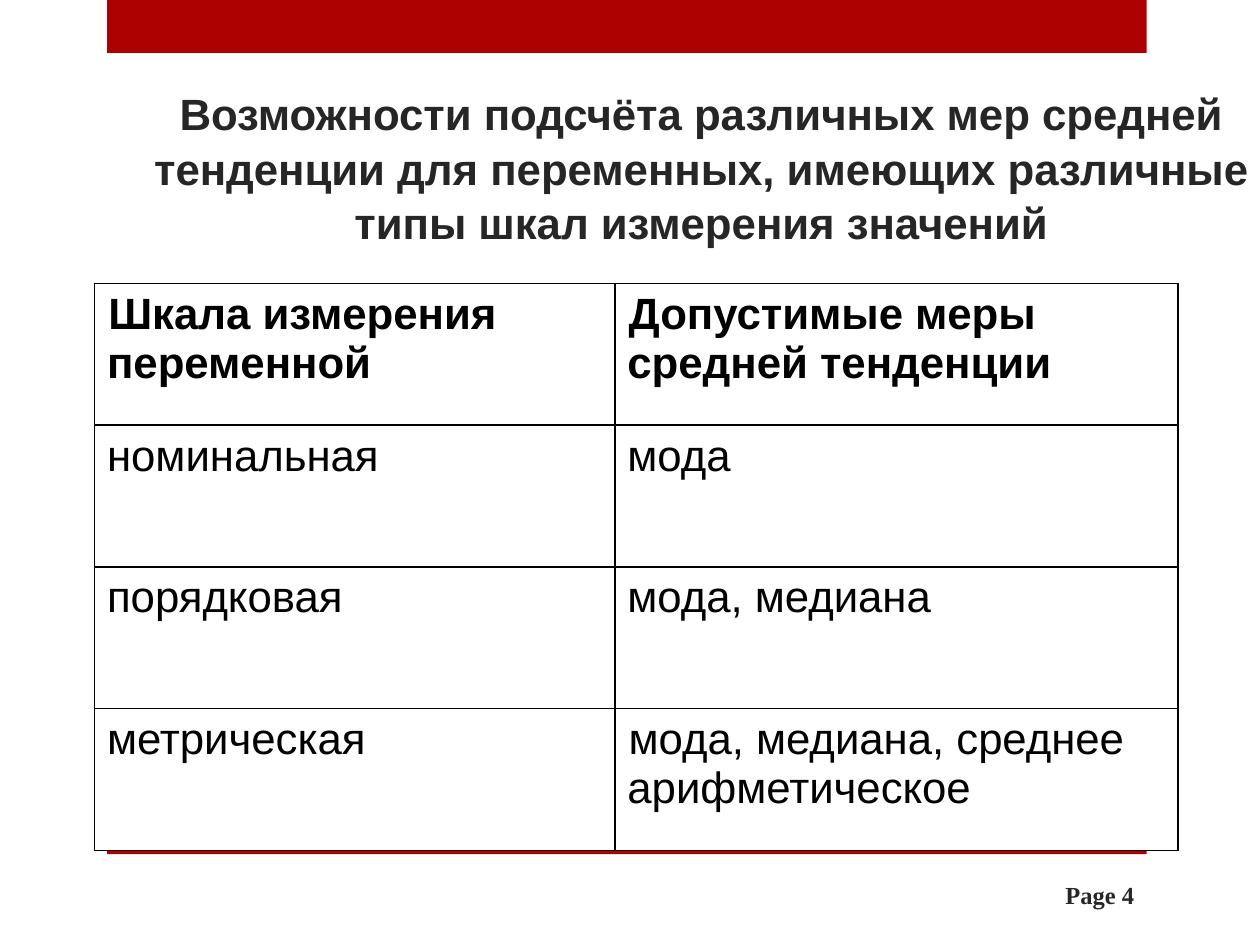
from pptx import Presentation
from pptx.dml.color import RGBColor
from pptx.enum.shapes import MSO_SHAPE as Shape
from pptx.enum.text import MSO_ANCHOR as Anchor, PP_ALIGN as Align
from pptx.oxml import parse_xml
from pptx.util import Inches, Pt

deck = Presentation()
deck.slide_width, deck.slide_height = Inches(10), Inches(7.5)
slide = deck.slides.add_slide(deck.slide_layouts[6])
shapes = slide.shapes


def tint(hue):
    return RGBColor.from_string(hue)


def write(frame, text, hue, **style):
    para = frame.paragraphs[0]
    run = para.add_run()
    run.text = text
    run.font.color.rgb = tint(hue)
    for key, value in style.items():
        setattr(run.font, key, value)
    return para


for top, height in [(0, 0.42), (6.75, 0.03)]:
    bar = shapes.add_shape(Shape.RECTANGLE, Inches(0.85), Inches(top), Inches(8.25), Inches(height))
    bar.shadow.inherit = False
    bar.fill.solid()
    bar.fill.fore_color.rgb = tint("AD0101")
    bar.line.fill.background()

title = "Возможности подсчёта различных мер средней тенденции для переменных, имеющих различные типы шкал измерения значений"
labels = [
    ("Page 4", (7.91, 6.9, 1.19, 0.4), 14, "Times New Roman", Align.RIGHT, Anchor.MIDDLE, 1),
    (title, (0.98, 1.1, 9.17, 0.92), 25, "Arial", Align.CENTER, Anchor.BOTTOM, 1.04),
]
for text, box, size, face, align, anchor, pitch in labels:
    frame = shapes.add_textbox(*map(Inches, box)).text_frame
    frame.word_wrap = True
    frame.vertical_anchor = anchor
    para = write(frame, text, "262626", size=Pt(size), name=face, bold=True)
    para.alignment = align
    para.line_spacing = pitch

rows = [
    ("Шкала измерения переменной", "Допустимые меры средней тенденции"),
    ("номинальная", "мода"),
    ("порядковая", "мода, медиана"),
    ("метрическая", "мода, медиана, среднее арифметическое"),
]
table = shapes.add_table(4, 2, Inches(0.75), Inches(2.25), Inches(8.6), Inches(4.5)).table
table.first_row = table.horz_banding = False
for col, width in zip(table.columns, (4.13, 4.47)):
    col.width = Inches(width)

space = "http://schemas.openxmlformats.org/drawingml/2006/main"
for i, row in enumerate(rows):
    for j, text in enumerate(row):
        cell = table.cell(i, j)
        para = write(cell.text_frame, text, "000000", size=Pt(25), name="Arial", bold=i == 0)
        if i == 0 or (i, j) == (3, 1):
            para._p.get_or_add_pPr().set("indent", str(Inches(0.01)))
        props = cell._tc.get_or_add_tcPr()
        for side in ("lnL", "lnR", "lnT", "lnB"):
            props.append(parse_xml(
                f'<a:{side} xmlns:a="{space}" w="{Pt(1)}"><a:solidFill>'
                f'<a:srgbClr val="000000"/></a:solidFill></a:{side}>'))
        cell.fill.background()

deck.save("out.pptx")
